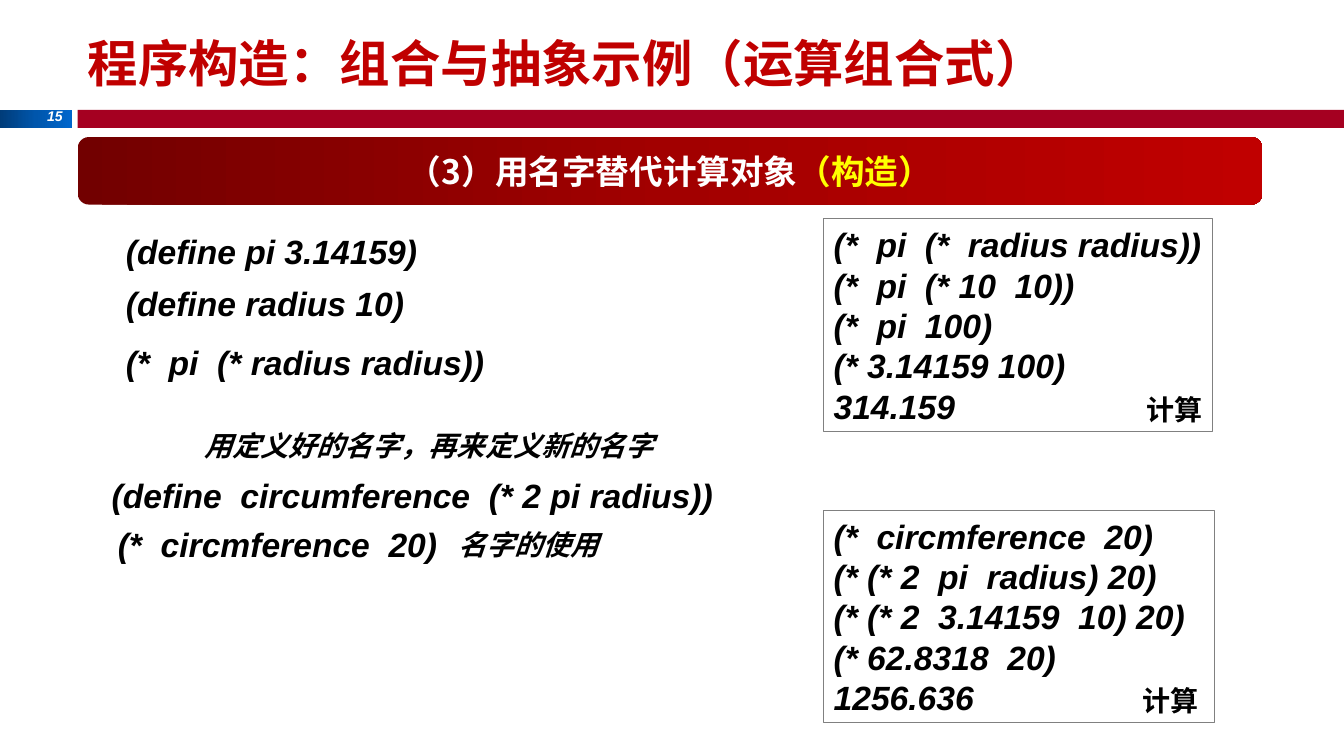
import copy

import pptx
import pptx.dml.color
import pptx.enum.shapes
import pptx.enum.text
import pptx.oxml.ns
import pptx.util
from lxml import etree
from pptx.util import Inches

COLORS = {
    "black": "000000", "white": "FFFFFF", "yellow": "FFFF00",
    "title": "C00000", "bar": "A50021", "frame": "808080",
}
BLUE_STOPS = ["003C79", "0056AC", "0066CC"]
RED_STOPS = ["720000", "A20000", "C00000"]
LATIN = "Arial"
CJK = "Noto Sans CJK SC"
SHAPES = pptx.enum.shapes.MSO_SHAPE
ALIGN = pptx.enum.text.PP_ALIGN
MIDDLE = pptx.enum.text.MSO_ANCHOR.MIDDLE

# left, top, width, height, text
DEFINITIONS = [
    (1.15, 2.24, 3.18, 0.5, "(define pi 3.14159)"),
    (1.15, 2.76, 3.05, 0.5, "(define radius 10)"),
    (1.15, 3.34, 3.8, 0.5, "(*  pi  (* radius radius))"),
    (1.01, 4.66, 6.22, 0.5, "(define  circumference  (* 2 pi radius))"),
    (1.07, 5.15, 3.37, 0.5, "(*  circmference  20)"),
]
REMARKS = [
    (1.93, 4.2, 4.72, 0.44, "用定义好的名字，再来定义新的名字"),
    (4.45, 5.18, 1.61, 0.44, "名字的使用"),
]
# top, width, label left, steps
EVALUATIONS = [
    (2.17, 3.86, 11.27, [
        "(*  pi  (*  radius radius))", "(*  pi  (* 10  10))",
        "(*  pi  100)", "(* 3.14159 100)", "314.159"]),
    (5.06, 3.88, 11.23, [
        "(*  circmference  20)", "(* (* 2  pi  radius) 20)",
        "(* (* 2  3.14159  10) 20)", "(* 62.8318  20)", "1256.636"]),
]


def rgb(hex_color):
    return pptx.dml.color.RGBColor.from_string(hex_color)


def style(para, size, color="black", name=LATIN, italic=True, align=ALIGN.LEFT):
    """Set the paragraph font, with the CJK face for East Asian letters."""
    para.alignment = align
    font = para.font
    font.size = pptx.util.Pt(size)
    font.bold = True
    font.italic = italic
    font.color.rgb = rgb(COLORS[color])
    font.name = name
    qn = pptx.oxml.ns.qn
    defaults = para._p.pPr.find(qn("a:defRPr"))
    etree.SubElement(defaults, qn("a:ea")).set("typeface", CJK)


def fill_lines(shape, lines, size, **look):
    """Put unwrapped lines in a shape that fits its text."""
    frame = shape.text_frame
    frame.word_wrap = False
    frame.auto_size = pptx.enum.text.MSO_AUTO_SIZE.SHAPE_TO_FIT_TEXT
    frame.text = "\n".join(lines)
    for para in frame.paragraphs:
        style(para, size, **look)


def add_label(page, left, top, width, height, text, size, **look):
    box = page.shapes.add_textbox(
        Inches(left), Inches(top), Inches(width), Inches(height))
    fill_lines(box, [text], size, **look)


def add_block(page, left, top, width, height, kind=SHAPES.RECTANGLE):
    block = page.shapes.add_shape(
        kind, Inches(left), Inches(top), Inches(width), Inches(height))
    block.shadow.inherit = False
    block.line.fill.background()
    return block


def paint(block, color):
    block.fill.solid()
    block.fill.fore_color.rgb = rgb(COLORS[color])


def paint_gradient(block, colors):
    """Fill with evenly spaced colours from left to right."""
    block.fill.gradient()
    block.fill.gradient_angle = 0
    stop_list = block._element.spPr.find(".//" + pptx.oxml.ns.qn("a:gsLst"))
    while len(stop_list) < len(colors):
        stop_list.append(copy.deepcopy(stop_list[0]))
    for index, stop in enumerate(block.fill.gradient_stops):
        stop.position = index / (len(colors) - 1)
        stop.color.rgb = rgb(colors[index])


def add_header(page):
    paint_gradient(add_block(page, 0, 1.09, 0.71, 0.18), BLUE_STOPS)
    paint(add_block(page, 0.77, 1.09, 12.56, 0.18), "bar")
    add_label(page, 0.35, 1.02, 0.37, 0.27, "15", 10,
              color="white", align=ALIGN.RIGHT)

    title = page.shapes.title
    title.left, title.top = Inches(0.77), Inches(0.2)
    title.width, title.height = Inches(11.67), Inches(0.83)
    title.text_frame.text = "程序构造：组合与抽象示例（运算组合式）"
    title.text_frame.vertical_anchor = MIDDLE
    style(title.text_frame.paragraphs[0], 36, "title", CJK, italic=False)


def add_banner(page):
    banner = add_block(page, 0.77, 1.36, 11.75, 0.67, SHAPES.ROUNDED_RECTANGLE)
    paint_gradient(banner, RED_STOPS)
    frame = banner.text_frame
    frame.word_wrap = True
    frame.vertical_anchor = MIDDLE
    para = frame.paragraphs[0]
    style(para, 24, "white", CJK, italic=False, align=ALIGN.CENTER)
    for text, color in [("（3）用名字替代计算对象", "white"), ("（构造）", "yellow")]:
        span = para.add_run()
        span.text = text
        span.font.color.rgb = rgb(COLORS[color])


def add_evaluation(page, top, width, label_left, steps):
    block = add_block(page, 8.17, top, width, 2.11)
    paint(block, "white")
    block.line.color.rgb = rgb(COLORS["frame"])
    block.line.width = pptx.util.Pt(0.75)
    fill_lines(block, steps, 24)
    add_label(page, label_left, top + 1.67, 0.77, 0.44, "计算", 20, italic=False)


def main():
    deck = pptx.Presentation()
    deck.slide_width, deck.slide_height = Inches(13.33), Inches(7.5)
    page = deck.slides.add_slide(deck.slide_layouts[5])
    add_header(page)
    add_banner(page)
    for definition in DEFINITIONS:
        add_label(page, *definition, 24)
    for remark in REMARKS:
        add_label(page, *remark, 20)
    for evaluation in EVALUATIONS:
        add_evaluation(page, *evaluation)
    deck.save("out.pptx")


if __name__ == "__main__":
    main()
